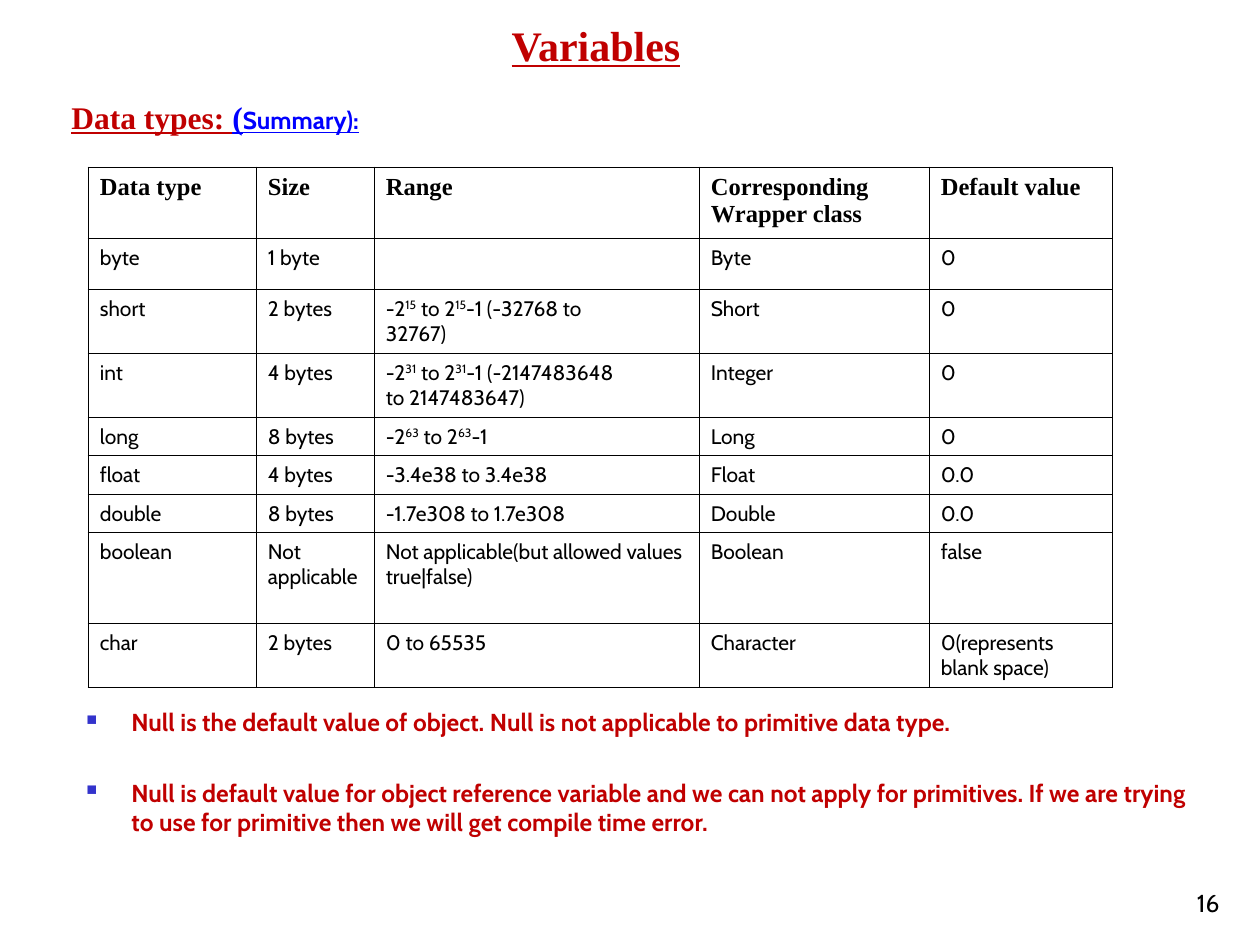
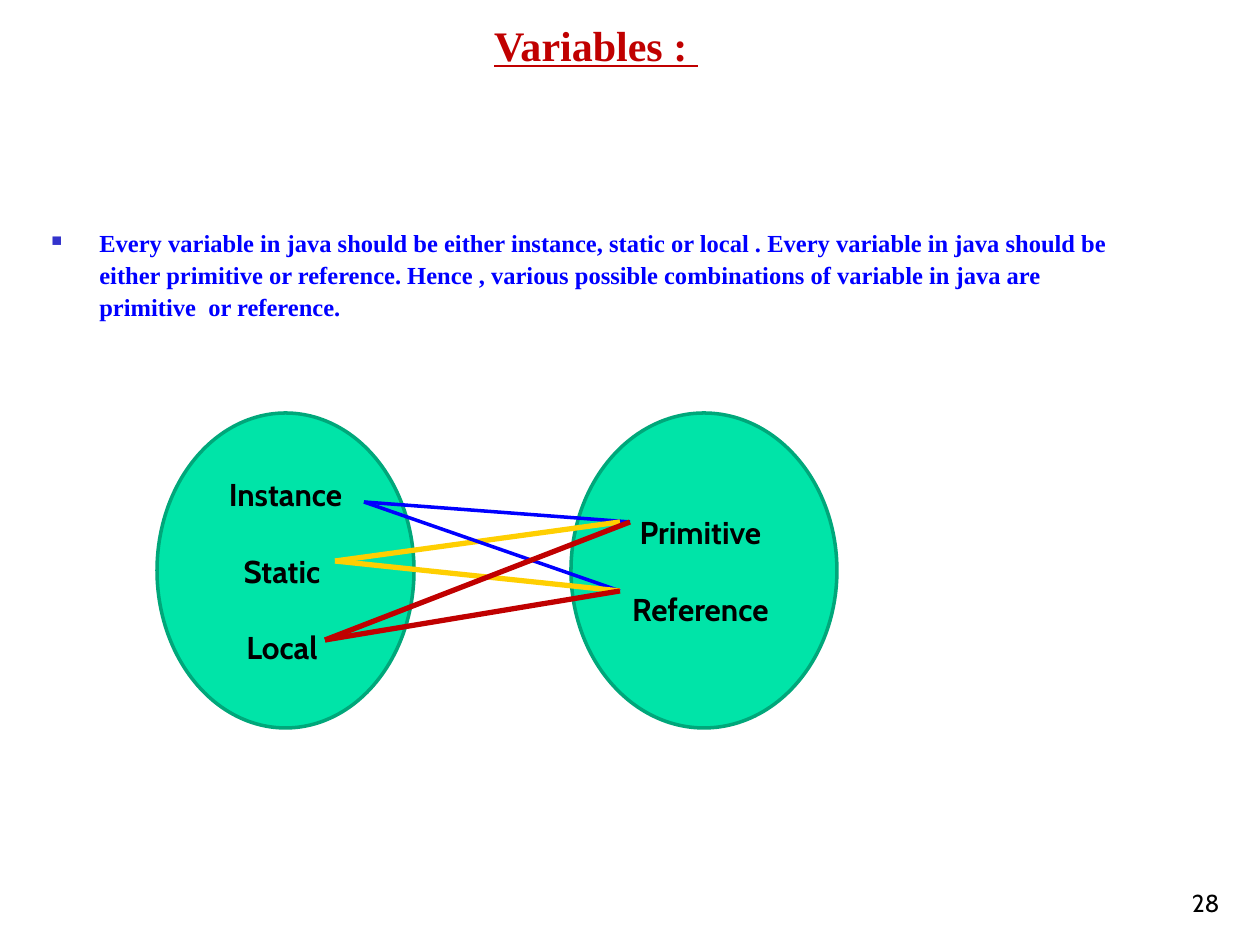
from lxml import etree
from pptx import Presentation
from pptx.dml.color import RGBColor as Rgb
from pptx.enum.shapes import MSO_CONNECTOR as Link, MSO_SHAPE as Shape
from pptx.enum.text import MSO_ANCHOR as Anchor, PP_ALIGN as Align
from pptx.oxml.ns import qn
from pptx.util import Emu, Pt

INK = {
    "black": "000000", "red": "C00000", "blue": "0000FF", "gold": "FFCF01",
    "bullet": "3333CC", "mint": "00E4A8", "rim": "00A77A",
}
SERIF, SANS = "Times New Roman", "Cabin"
COLS = [168, 118, 325, 230, 183]
ROWS = [67, 51, 64, 64, 38, 39, 38, 91, 64]
# Carets enclose superscripts; a line break starts a new paragraph.
TYPES = [
    ["Data type", "Size", "Range", "Corresponding Wrapper class", "Default value"],
    ["byte", "1 byte", "", "Byte", "0"],
    ["short", "2 bytes", "-2^15^ to 2^15^-1 (-32768 to\n32767)", "Short", "0"],
    ["int", "4 bytes", "-2^31^ to 2^31^-1 (-2147483648\nto 2147483647)", "Integer", "0"],
    ["long", "8 bytes", "-2^63^ to 2^63^-1", "Long", "0"],
    ["float", "4 bytes", "-3.4e38 to 3.4e38", "Float", "0.0"],
    ["double", "8 bytes", "-1.7e308 to 1.7e308", "Double", "0.0"],
    ["boolean", "Not applicable", "Not applicable(but allowed values true|false)",
     "Boolean", "false"],
    ["char", "2 bytes", "0 to 65535", "Character", "0(represents blank space)"],
]
NULLS = [
    "Null is the default value of object. Null is not applicable to primitive data type.",
    "Null is default value for object reference variable and we can not apply for "
    "primitives. If we are trying to use for primitive then we will get compile time error.",
]
KINDS = [
    "Every variable in java should be either instance, static or local . Every variable "
    "in java should be either primitive or reference. Hence , various possible "
    "combinations of variable in java are  primitive  or reference.",
]


def px(n):
    return Emu(round(n * 914400 / 126))


def color(name):
    return Rgb.from_string(INK[name])


def style(font, size, face, ink="black", bold=False, line=False):
    font.size, font.name = Pt(size), face
    font.bold, font.underline = bold, line
    font.color.rgb = color(ink)


def add_box(slide, left, top, width, height, anchor=Anchor.TOP):
    frame = slide.shapes.add_textbox(*map(px, (left, top, width, height))).text_frame
    frame.word_wrap = True
    frame.vertical_anchor = anchor
    return frame


def fill_text(frame, lines, gap=0):
    """Write one paragraph per line, gap points apart, and return them."""
    for i, line in enumerate(lines):
        para = frame.add_paragraph() if i else frame.paragraphs[0]
        if i and gap:
            para.space_before = Pt(gap)
        for j, part in enumerate(line.split("^")):
            if part:
                run = para.add_run()
                run.text = part
                if j % 2:
                    run._r.get_or_add_rPr().set("baseline", "30000")
    return frame.paragraphs


def add_slide(deck, title, number):
    """Add a slide with the shared title and page number."""
    slide = deck.slides.add_slide(deck.slide_layouts[6])
    head = fill_text(add_box(slide, 59, 0, 1074, 76, Anchor.BOTTOM), [title])[0]
    head.alignment = Align.CENTER
    style(head.font, 24, SERIF, "red", True, True)
    foot = fill_text(add_box(slide, 970, 861, 262, 63, Anchor.BOTTOM), [number])[0]
    foot.alignment = Align.RIGHT
    style(foot.font, 14, SANS)
    return slide


def add_heading(slide, parts):
    para = add_box(slide, 59, 92, 1150, 50).paragraphs[0]
    for text, size, face, ink in parts:
        run = para.add_run()
        run.text = text
        style(run.font, size, face, ink, True, True)


def add_list(slide, box, items, face, ink, hang, gap=0, pitch=None):
    for para in fill_text(add_box(slide, *box), items, gap):
        para.line_spacing = pitch
        props = para._p.get_or_add_pPr()
        props.set("marL", str(px(hang)))
        props.set("indent", str(-px(hang)))
        tint = etree.SubElement(props, qn("a:buClr"))
        etree.SubElement(tint, qn("a:srgbClr"), val=INK["bullet"])
        etree.SubElement(props, qn("a:buSzPct"), val="60000")
        etree.SubElement(props, qn("a:buChar"), char="■")
        style(para.font, 14, face, ink, True)


def add_rules(cell):
    """Draw a thin black line on all four sides of a cell."""
    props = cell._tc.get_or_add_tcPr()
    for side in ("lnL", "lnR", "lnT", "lnB"):
        rule = etree.SubElement(props, qn(f"a:{side}"), w=str(Pt(0.45)))
        fill = etree.SubElement(rule, qn("a:solidFill"))
        etree.SubElement(fill, qn("a:srgbClr"), val=INK["black"])


def add_grid(slide, left, top):
    size = map(px, (left, top, sum(COLS), sum(ROWS)))
    table = slide.shapes.add_table(len(ROWS), len(COLS), *size).table
    table.first_row = table.horz_banding = False
    for col, width in zip(table.columns, COLS):
        col.width = px(width)
    for i, (row, height) in enumerate(zip(table.rows, ROWS)):
        row.height = px(height)
        for cell, text in zip(row.cells, TYPES[i]):
            cell.margin_left, cell.margin_right = px(12), px(10)
            add_rules(cell)
            cell.fill.background()
            for para in fill_text(cell.text_frame, text.split("\n")):
                if i:
                    style(para.font, 12, SANS)
                else:
                    style(para.font, 14, SERIF, bold=True)


def add_oval(slide, box, words):
    oval = slide.shapes.add_shape(Shape.OVAL, *map(px, box))
    oval.shadow.inherit = False
    oval.fill.solid()
    oval.fill.fore_color.rgb = color("mint")
    oval.line.color.rgb = color("rim")
    oval.line.width = Pt(2)
    oval.text_frame.vertical_anchor = Anchor.MIDDLE
    for para in fill_text(oval.text_frame, words, 21.9):
        para.alignment = Align.CENTER
        style(para.font, 18, SANS, bold=True)


def add_line(slide, start, end, ink, width):
    line = slide.shapes.add_connector(Link.STRAIGHT, *map(px, start + end))
    etree.SubElement(line._element.spPr, qn("a:effectLst"))
    line.line.color.rgb = color(ink)
    line.line.width = Pt(width)


def show_types(deck):
    slide = add_slide(deck, "Variables", "16")
    add_heading(slide, [
        ("Data types: ", 18, SERIF, "red"),
        ("(", 18, SERIF, "blue"),
        ("Summary):", 14, SANS, "blue"),
    ])
    add_list(slide, (74, 701, 1136, 150), NULLS, SANS, "red", 45, gap=23.5)
    add_grid(slide, 88, 167)


def show_kinds(deck):
    slide = add_slide(deck, "Variables : ", "28")
    add_list(slide, (39, 219, 1111, 110), KINDS, SERIF, "blue", 48, pitch=1.09)
    add_oval(slide, (157, 413, 257, 315), ["Instance", "Static ", "Local "])
    add_oval(slide, (571, 413, 266, 315), ["Primitive ", "Reference "])
    inst, static, local = (364, 502), (335, 561), (325, 640)
    prim, near, ref = (630, 522), (620, 522), (620, 591)
    for start, end, ink, width in [
        (inst, prim, "blue", 2), (static, near, "gold", 3),
        (inst, ref, "blue", 2), (static, ref, "gold", 3),
        (local, prim, "red", 3), (local, ref, "red", 3),
    ]:
        add_line(slide, start, end, ink, width)


def main():
    deck = Presentation()
    deck.slide_width, deck.slide_height = px(1260), px(945)
    show_types(deck)
    show_kinds(deck)
    deck.save("out.pptx")


if __name__ == "__main__":
    main()
